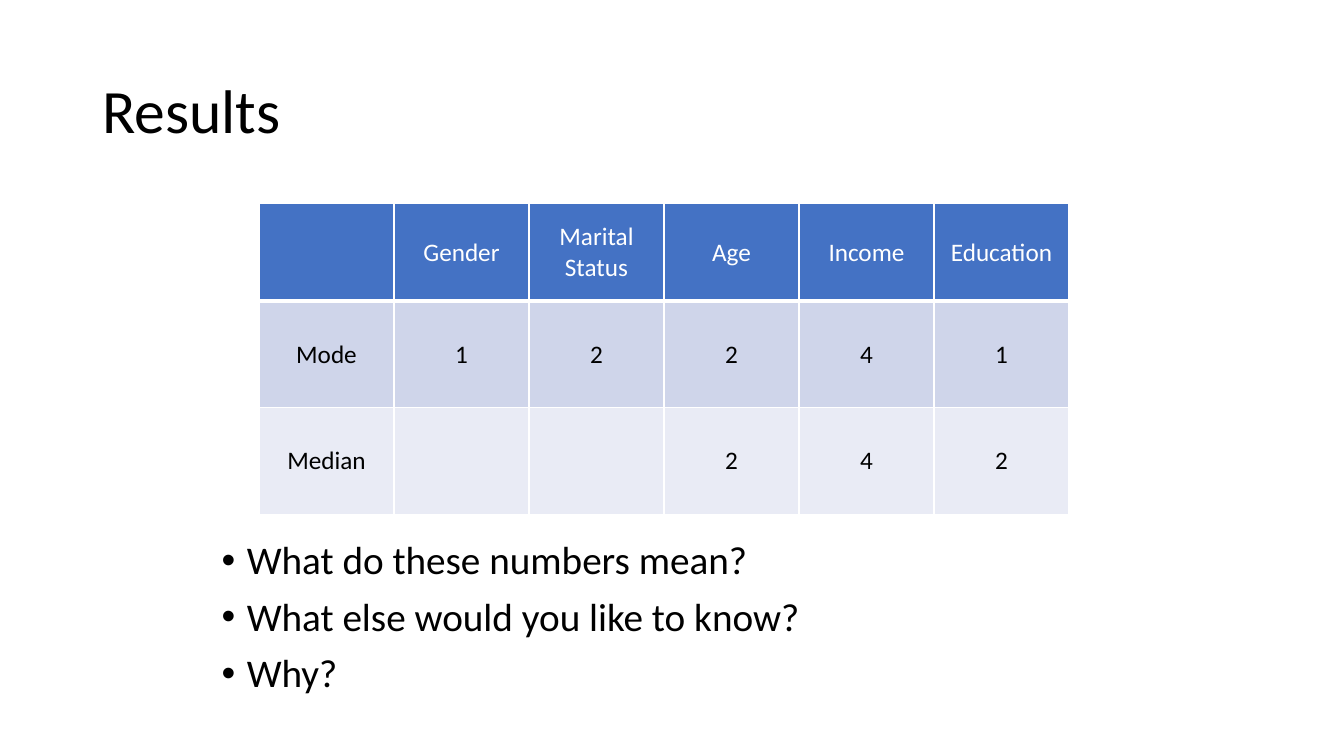
from pptx import Presentation
from pptx.dml.color import RGBColor
from pptx.enum.text import MSO_ANCHOR, PP_ALIGN
from pptx.oxml.ns import qn
from pptx.util import Pt
from lxml import etree

MIDDLE, TOP = MSO_ANCHOR.MIDDLE, MSO_ANCHOR.TOP
LEFT, CENTER = PP_ALIGN.LEFT, PP_ALIGN.CENTER

# Content
TITLE = "Results"
STATISTICS = [
    ("", "Gender", "Marital Status", "Age", "Income", "Education"),
    ("Mode", "1", "2", "2", "4", "1"),
    ("Median", "", "", "2", "4", "2"),
]
QUESTIONS = [
    "What do these numbers mean?",
    "What else would you like to know?",
    "Why?",
]

THEME = {
    "font": "Calibri",
    "title_size": 44, "question_size": 28, "cell_size": 18,
    "ink": "000000", "header_ink": "FFFFFF", "border": "FFFFFF",
    "row_fills": ("4472C4", "CFD5EA", "E9EBF5"),
}

# Layout in points: left, top, width, height
TITLE_AREA = (66, 28.8, 828, 104.4)
QUESTION_AREA = (151.2, 383, 653, 124.6)
TABLE_LEFT, TABLE_TOP = 185, 145.5
COLUMN_WIDTH = 96.45
ROW_HEIGHTS = (69.6, 76.2, 76.2)
BULLET_INDENT = 18


def write(frame, lines, size, color=THEME["ink"], align=LEFT, anchor=TOP,
          line_spacing=1.0, gap=0, bullet=None):
    frame.word_wrap = True
    frame.vertical_anchor = anchor
    for index, line in enumerate(lines):
        para = frame.add_paragraph() if index else frame.paragraphs[0]
        para.alignment = align
        para.line_spacing = line_spacing
        if index:
            para.space_before = Pt(gap)
        if bullet:
            properties = para._p.get_or_add_pPr()
            properties.set("marL", str(Pt(BULLET_INDENT)))
            properties.set("indent", str(-Pt(BULLET_INDENT)))
            etree.SubElement(properties, qn("a:buFont"), typeface="Arial")
            etree.SubElement(properties, qn("a:buChar"), char=bullet)
        span = para.add_run()
        span.text = line
        span.font.name = THEME["font"]
        span.font.size = Pt(size)
        span.font.bold = False
        span.font.color.rgb = RGBColor.from_string(color)


def set_borders(cell, top, bottom):
    properties = cell._tc.get_or_add_tcPr()
    widths = {"a:lnL": 1, "a:lnR": 1, "a:lnT": top, "a:lnB": bottom}
    for side, width in widths.items():
        line = etree.SubElement(properties, qn(side), w=str(Pt(width)))
        fill = etree.SubElement(line, qn("a:solidFill"))
        etree.SubElement(fill, qn("a:srgbClr"), val=THEME["border"])


deck = Presentation()
deck.slide_width, deck.slide_height = Pt(960), Pt(540)
page = deck.slides.add_slide(deck.slide_layouts[6])

# Title
box = page.shapes.add_textbox(*map(Pt, TITLE_AREA))
write(box.text_frame, [TITLE], THEME["title_size"], anchor=MIDDLE, line_spacing=0.9)

# Statistics table
row_count, column_count = len(STATISTICS), len(STATISTICS[0])
table = page.shapes.add_table(
    row_count, column_count, Pt(TABLE_LEFT), Pt(TABLE_TOP),
    Pt(COLUMN_WIDTH * column_count), Pt(sum(ROW_HEIGHTS))).table
table.horz_banding = False
for column in table.columns:
    column.width = Pt(COLUMN_WIDTH)
for row, values in enumerate(STATISTICS):
    table.rows[row].height = Pt(ROW_HEIGHTS[row])
    for column, value in enumerate(values):
        cell = table.cell(row, column)
        cell.margin_left = cell.margin_right = Pt(3)
        cell.vertical_anchor = MIDDLE
        set_borders(cell, top=3 if row == 1 else 1, bottom=3 if row == 0 else 1)
        cell.fill.solid()
        cell.fill.fore_color.rgb = RGBColor.from_string(THEME["row_fills"][row])
        if value:
            write(cell.text_frame, [value], THEME["cell_size"], align=CENTER,
                  anchor=MIDDLE, color=THEME["ink" if row else "header_ink"])

# Questions
box = page.shapes.add_textbox(*map(Pt, QUESTION_AREA))
write(box.text_frame, QUESTIONS, THEME["question_size"],
      line_spacing=0.9, gap=10, bullet="•")

deck.save("out.pptx")
